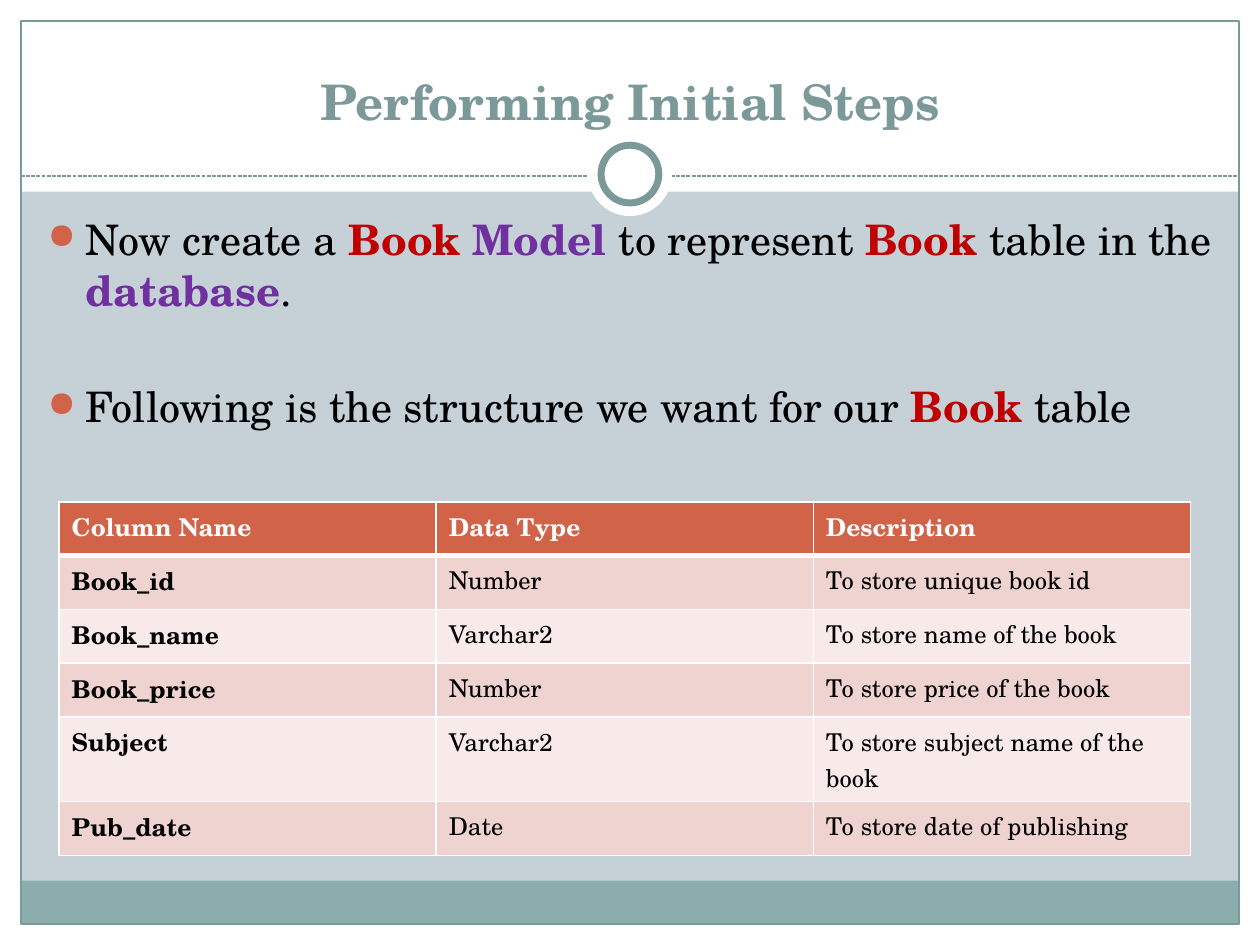
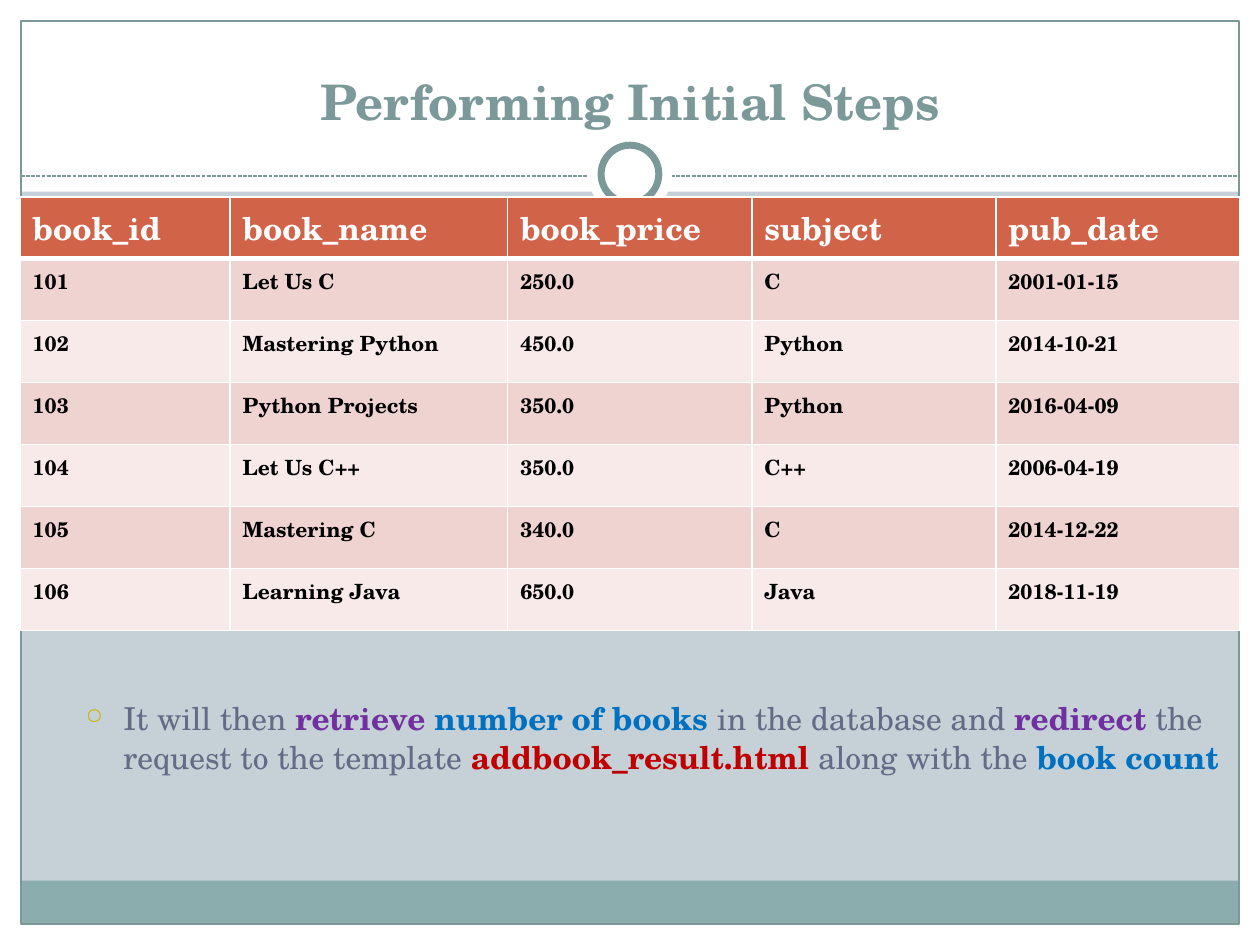
import pptx
import pptx.util
import pptx.dml.color
import pptx.enum.dml
import pptx.enum.shapes
import pptx.enum.text
import pptx.oxml
import pptx.oxml.ns
import lxml.etree

Pt = pptx.util.Pt
qn = pptx.oxml.ns.qn
SHAPES = pptx.enum.shapes.MSO_SHAPE

FONT = "TeX Gyre Schola"
COLORS = {
    "background": "C5D1D7",
    "white": "FFFFFF",
    "black": "000000",
    "footer": "8CADAE",
    "accent": "7C999A",
    "orange": "D16349",
    "dark_band": "EED3D0",
    "light_band": "F7EAE9",
    "red": "C00000",
    "purple": "7030A0",
    "blue": "0070C0",
    "slate": "646B86",
    "olive": "CCB400",
}
WIDTH, HEIGHT = 720, 540
MARGIN = 12
TITLE = "Performing Initial Steps"


def color(name):
    return pptx.dml.color.RGBColor.from_string(COLORS[name])


class Deck:
    """Holds the shared style and the slide being built."""

    def __init__(self):
        self.presentation = pptx.Presentation()
        self.presentation.slide_width = Pt(WIDTH)
        self.presentation.slide_height = Pt(HEIGHT)
        self.slide = None

    def add_slide(self, title):
        self.slide = self.presentation.slides.add_slide(self.presentation.slide_layouts[6])
        fill = self.slide.background.fill
        fill.solid()
        fill.fore_color.rgb = color("background")
        self.add_frame()
        self.add_title(title)

    def add_frame(self):
        """Draw the white margins, footer band, border and title ring."""
        inner_width = WIDTH - 2 * MARGIN
        inner_height = HEIGHT - 2 * MARGIN
        self.add_shape(SHAPES.RECTANGLE, 0, HEIGHT - MARGIN, WIDTH, MARGIN, "white")
        self.add_shape(SHAPES.RECTANGLE, 0, 0, WIDTH, 109.5, "white")
        for left in (0, WIDTH - MARGIN):
            self.add_shape(SHAPES.RECTANGLE, left, 0, MARGIN, HEIGHT, "white")
        self.add_shape(SHAPES.RECTANGLE, MARGIN, 503.3, inner_width, 24.5, "footer")
        self.add_shape(SHAPES.RECTANGLE, MARGIN, MARGIN, inner_width, inner_height,
                       line="accent", weight=0.75)
        self.add_dashed_line(MARGIN, WIDTH - MARGIN, 100.6)
        self.add_circle(48, "white")
        self.add_circle(33, "white", "accent", 4)

    def add_circle(self, size, fill, line=None, weight=0):
        """Centre a circle on the title divider."""
        self.add_shape(SHAPES.OVAL, (WIDTH - size) / 2, 99.5 - size / 2, size, size,
                       fill, line, weight)

    def add_shape(self, kind, left, top, width, height, fill=None, line=None, weight=0):
        shape = self.slide.shapes.add_shape(kind, Pt(left), Pt(top), Pt(width), Pt(height))
        shape.shadow.inherit = False
        if fill:
            shape.fill.solid()
            shape.fill.fore_color.rgb = color(fill)
        else:
            shape.fill.background()
        if line:
            shape.line.color.rgb = color(line)
            shape.line.width = Pt(weight)
        else:
            shape.line.fill.background()

    def add_dashed_line(self, left, right, top):
        connector = self.slide.shapes.add_connector(
            pptx.enum.shapes.MSO_CONNECTOR.STRAIGHT, Pt(left), Pt(top), Pt(right), Pt(top))
        connector.line.color.rgb = color("accent")
        connector.line.width = Pt(0.75)
        connector.line.dash_style = pptx.enum.dml.MSO_LINE.SQUARE_DOT
        properties = connector._element.find(qn("p:spPr"))
        lxml.etree.SubElement(properties, qn("a:effectLst"))

    def add_text_box(self, left, top, width, height):
        text_frame = self.slide.shapes.add_textbox(
            Pt(left), Pt(top), Pt(width), Pt(height)).text_frame
        text_frame.word_wrap = True
        return text_frame

    def format_font(self, font, size, color_name, bold=False):
        font.name = FONT
        font.size = Pt(size)
        font.bold = bold
        font.color.rgb = color(color_name)

    def add_title(self, title):
        text_frame = self.add_text_box(24, 18, 672, 60)
        text_frame.vertical_anchor = pptx.enum.text.MSO_ANCHOR.BOTTOM
        text_frame.text = title
        paragraph = text_frame.paragraphs[0]
        paragraph.alignment = pptx.enum.text.PP_ALIGN.CENTER
        self.format_font(paragraph.runs[0].font, 28, "accent", True)

    def add_bullets(self, top, height, items, size, base, indent, bullet, pitch, gap=0):
        """Add bulleted items; each is a list of (text, highlight colour or None)."""
        text_frame = self.add_text_box(20.2, top, 686.2, height)
        for index, pieces in enumerate(items):
            paragraph = text_frame.add_paragraph() if index else text_frame.paragraphs[0]
            paragraph.line_spacing = Pt(pitch)
            if index:
                paragraph.space_before = Pt(gap)
            self.set_bullet(paragraph, indent, *bullet)
            for text, highlight in pieces:
                run = paragraph.add_run()
                run.text = text
                self.format_font(run.font, size, highlight or base, highlight is not None)

    def set_bullet(self, paragraph, indent, character, color_name, percent):
        properties = paragraph._p.get_or_add_pPr()
        properties.set("marL", str(Pt(indent)))
        properties.set("indent", str(Pt(-21.6)))
        bullet_color = lxml.etree.SubElement(properties, qn("a:buClr"))
        lxml.etree.SubElement(bullet_color, qn("a:srgbClr"), val=COLORS[color_name])
        lxml.etree.SubElement(properties, qn("a:buSzPct"), val=str(percent * 1000))
        lxml.etree.SubElement(properties, qn("a:buChar"), char=character)

    def add_table(self, left, top, widths, heights, rows, header_size, body_size, bold_columns):
        table = self.slide.shapes.add_table(
            len(rows), len(widths), Pt(left), Pt(top),
            Pt(sum(widths)), Pt(sum(heights))).table
        for column, width in zip(table.columns, widths):
            column.width = Pt(width)
        for row, height in zip(table.rows, heights):
            row.height = Pt(height)
        for row_index, values in enumerate(rows):
            header = row_index == 0
            band = "dark_band" if row_index % 2 else "light_band"
            for column_index, value in enumerate(values):
                cell = table.cell(row_index, column_index)
                cell.text_frame.text = value
                self.format_font(cell.text_frame.paragraphs[0].runs[0].font,
                                 header_size if header else body_size,
                                 "white" if header else "black",
                                 header or column_index < bold_columns)
                cell.fill.solid()
                cell.fill.fore_color.rgb = color("orange" if header else band)
                self.set_borders(cell, top=3 if row_index == 1 else 1,
                                 bottom=3 if header else 1)

    def set_borders(self, cell, top, bottom):
        properties = cell._tc.get_or_add_tcPr()
        weights = {"a:lnL": 1, "a:lnR": 1, "a:lnT": top, "a:lnB": bottom}
        for position, (tag, weight) in enumerate(weights.items()):
            line = lxml.etree.Element(qn(tag), w=str(Pt(weight)))
            fill = lxml.etree.SubElement(line, qn("a:solidFill"))
            lxml.etree.SubElement(fill, qn("a:srgbClr"), val=COLORS["white"])
            properties.insert(position, line)


def add_structure_slide(deck):
    deck.add_slide(TITLE)
    items = [
        [("Now create a ", None), ("Book ", "red"), ("Model ", "purple"),
         ("to represent ", None), ("Book", "red"), (" table in the ", None),
         ("database", "purple"), (".", None)],
        [("Following is the structure we want for our ", None), ("Book", "red"),
         (" table", None)],
    ]
    deck.add_bullets(117.5, 150, items, size=24, base="black", indent=21.6,
                     bullet=("●", "orange", 85), pitch=29.6, gap=36.6)
    rows = [
        ("Column Name", "Data Type", "Description"),
        ("Book_id", "Number", "To store unique book id"),
        ("Book_name", "Varchar2", "To store name of the book"),
        ("Book_price", "Number", "To store price of the book"),
        ("Subject", "Varchar2", "To store subject name of the book"),
        ("Pub_date", "Date", "To store date of publishing"),
    ]
    heights = [30.7] * 4 + [48.5, 30.7]
    deck.add_table(33.8, 286.8, [215.5] * 3, heights, rows,
                   header_size=14, body_size=14, bold_columns=1)


def add_records_slide(deck):
    deck.add_slide(TITLE)
    items = [
        [("It will then ", None), ("retrieve ", "purple"), ("number of books ", "blue"),
         ("in the database and ", None), ("redirect", "purple"),
         (" the request to the template ", None), ("addbook_result.html", "red"),
         (" along with the ", None), ("book count", "blue")],
    ]
    deck.add_bullets(395, 60, items, size=18, base="slate", indent=43.2,
                     bullet=("○", "olive", 70), pitch=22.3)
    rows = [
        ("book_id", "book_name", "book_price", "subject", "pub_date"),
        ("101", "Let Us C", "250.0", "C", "2001-01-15"),
        ("102", "Mastering Python", "450.0", "Python", "2014-10-21"),
        ("103", "Python Projects", "350.0", "Python", "2016-04-09"),
        ("104", "Let Us C++", "350.0", "C++", "2006-04-19"),
        ("105", "Mastering C", "340.0", "C", "2014-12-22"),
        ("106", "Learning Java", "650.0", "Java", "2018-11-19"),
    ]
    deck.add_table(11.5, 112.5, [120, 158.6] + [139.5] * 3, [35.4] * len(rows), rows,
                   header_size=18, body_size=12, bold_columns=5)


def main():
    deck = Deck()
    add_structure_slide(deck)
    add_records_slide(deck)
    deck.presentation.save("out.pptx")


if __name__ == "__main__":
    main()
